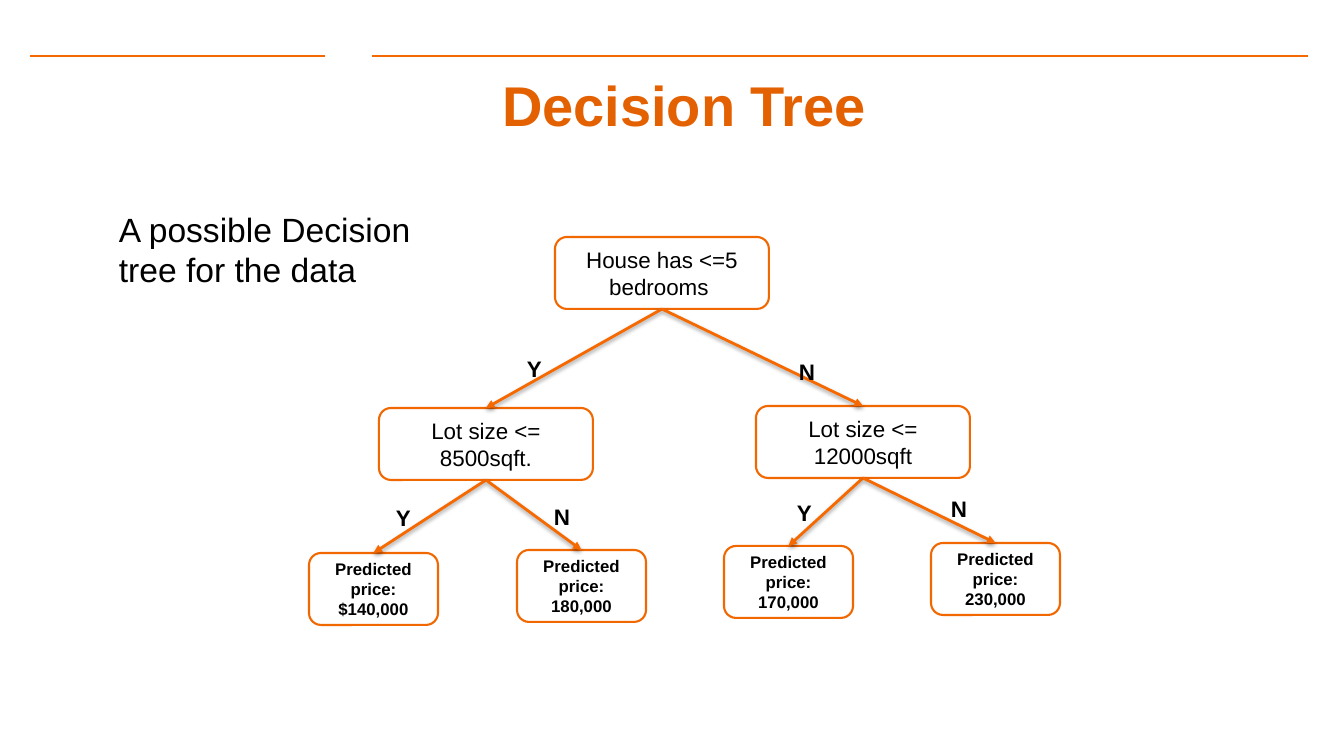
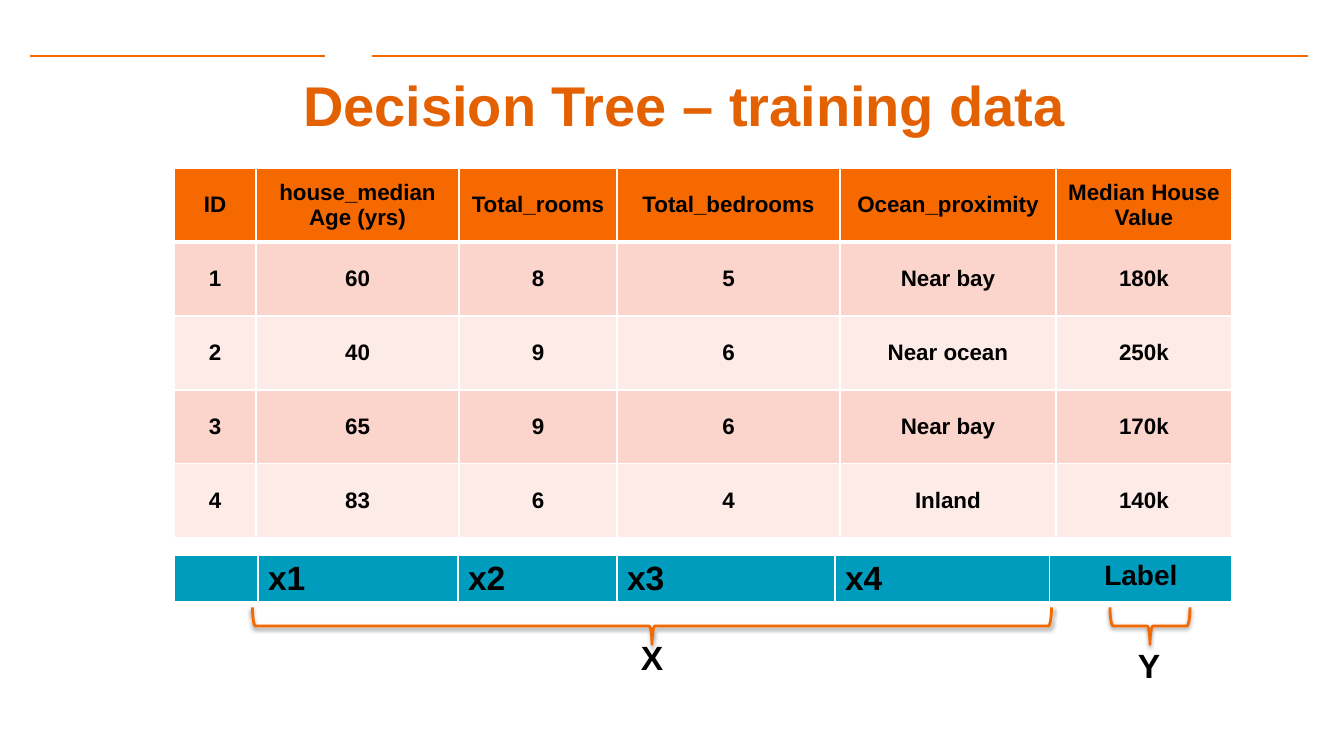
from dataclasses import dataclass
from typing import Sequence

from lxml import etree
from pptx import Presentation
from pptx import util as u
from pptx.dml.color import RGBColor
from pptx.enum import shapes, text
from pptx.oxml import ns

EMU_PER_PX = 914400 / 100.8
FONT = "Arial"
COLORS = {
    "orange": "F66900", "node": "F16700", "title": "E46102", "ink": "000000",
    "white": "FFFFFF", "odd": "FBD4CC", "even": "FDEBE7", "label": "009CBD",
}
CENTER, LEFT = text.PP_ALIGN.CENTER, text.PP_ALIGN.LEFT
TOP, MIDDLE = text.MSO_ANCHOR.TOP, text.MSO_ANCHOR.MIDDLE


@dataclass(frozen=True)
class Node:
    words: str
    x: int
    y: int
    leaf: bool = False


@dataclass(frozen=True)
class Branch:
    parent: str
    child: str
    answer: str
    x: int
    y: int


@dataclass(frozen=True)
class Brace:
    caption: str
    center: int
    span: int
    caption_x: int
    caption_y: int


@dataclass(frozen=True)
class Cell:
    words: str
    fill: str
    size: int
    align: text.PP_ALIGN
    anchor: text.MSO_ANCHOR
    top: int = 1
    bottom: int = 1


def px(pixels: float) -> u.Emu:
    return u.Emu(round(pixels * EMU_PER_PX))


def box(*pixels: float) -> list[u.Emu]:
    return [px(p) for p in pixels]


def color(name: str) -> RGBColor:
    return RGBColor.from_string(COLORS[name])


def child(parent, tag: str, **attributes: str):
    return etree.SubElement(parent, ns.qn(tag), attributes)


def write(frame, words: str, size: int, bold: bool = False,
          align=LEFT, ink: str = "ink") -> None:
    frame.text = words
    for paragraph in frame.paragraphs:
        paragraph.alignment = align
        for run in paragraph.runs:
            run.font.name, run.font.size, run.font.bold = FONT, u.Pt(size), bold
            run.font.color.rgb = color(ink)


def stroke(line, name: str, width: float) -> None:
    line.color.rgb = color(name)
    line.width = u.Pt(width)


def cast_shadow(effects) -> None:
    shadow = child(effects, "a:outerShdw", blurRad="40000", dist="20000",
                   dir="5400000", rotWithShape="0")
    child(child(shadow, "a:srgbClr", val=COLORS["ink"]), "a:alpha", val="38000")


def add_line(slide, start: tuple[int, int], end: tuple[int, int], width: float):
    line = slide.shapes.add_connector(
        shapes.MSO_CONNECTOR.STRAIGHT, *box(*start, *end))
    stroke(line.line, "orange", width)
    effects = child(line._element.spPr, "a:effectLst")
    return line, effects


def add_text(slide, words: str, at: tuple[int, int, int, int], size: int,
             bold: bool = True, wrap: bool = False) -> None:
    frame = slide.shapes.add_textbox(*box(*at)).text_frame
    frame.word_wrap = wrap
    frame.auto_size = text.MSO_AUTO_SIZE.SHAPE_TO_FIT_TEXT
    write(frame, words, size, bold)


def add_slide(deck, heading: str):
    slide = deck.slides.add_slide(deck.slide_layouts[5])
    # Rules above the title
    add_line(slide, (30, 56), (325, 56), 2)
    add_line(slide, (372, 56), (1308, 56), 1)
    # Title
    title = slide.shapes.title
    title.left, title.top, title.width, title.height = box(79, 77, 1210, 55)
    frame = title.text_frame
    frame.auto_size, frame.word_wrap = text.MSO_AUTO_SIZE.NONE, True
    frame.vertical_anchor = MIDDLE
    frame.margin_left = frame.margin_right = px(13)
    frame.margin_top = frame.margin_bottom = px(13)
    write(frame, heading, 40, True, CENTER, "title")
    return slide


def add_node(slide, node: Node):
    width = 129 if node.leaf else 214
    shape = slide.shapes.add_shape(
        shapes.MSO_SHAPE.ROUNDED_RECTANGLE, *box(node.x, node.y, width, 72))
    shape.shadow.inherit = False
    shape.fill.background()
    stroke(shape.line, "node", 1.5)
    shape.text_frame.vertical_anchor = MIDDLE
    write(shape.text_frame, node.words, 12 if node.leaf else 16, node.leaf, CENTER)
    return shape


def add_branch(slide, branch: Branch, drawn: dict) -> None:
    bottom_site, top_site = 2, 0
    arrow, effects = add_line(slide, (0, 0), (0, 0), 2)
    arrow.begin_connect(drawn[branch.parent], bottom_site)
    arrow.end_connect(drawn[branch.child], top_site)
    child(arrow.line._get_or_add_ln(), "a:tailEnd", type="triangle")
    cast_shadow(effects)


def add_grid(slide, at: tuple[int, int], widths: Sequence[int], row_height: int,
             rows: Sequence[Sequence[Cell]]) -> None:
    table = slide.shapes.add_table(
        len(rows), len(widths),
        *box(*at, sum(widths), row_height * len(rows))).table
    table.first_row = table.horz_banding = False
    for column, width in zip(table.columns, widths):
        column.width = px(width)
    for r, row in enumerate(rows):
        table.rows[r].height = px(row_height)
        for c, cell in enumerate(row):
            fill_cell(table.cell(r, c), cell)


def fill_cell(target, cell: Cell) -> None:
    target.vertical_anchor = cell.anchor
    properties = target._tc.get_or_add_tcPr()
    borders = {"a:lnL": 1, "a:lnR": 1, "a:lnT": cell.top, "a:lnB": cell.bottom}
    for tag, width in borders.items():
        border = child(properties, tag, w=str(u.Pt(width)))
        child(child(border, "a:solidFill"), "a:srgbClr", val=COLORS["white"])
    target.fill.solid()
    target.fill.fore_color.rgb = color(cell.fill)
    write(target.text_frame, cell.words, cell.size, True, cell.align)


def add_brace(slide, brace: Brace) -> None:
    depth, middle = 37, 626
    shape = slide.shapes.add_shape(
        shapes.MSO_SHAPE.RIGHT_BRACE,
        *box(brace.center - depth / 2, middle - brace.span / 2, depth, brace.span))
    shape.rotation = 90
    shape.fill.background()
    stroke(shape.line, "orange", 2)
    shape.shadow.inherit = False
    cast_shadow(shape._element.spPr.find(ns.qn("a:effectLst")))
    add_text(slide, brace.caption, (brace.caption_x, brace.caption_y, 43, 50), 24)


# Content of the tree
NODES = {
    "bedrooms": Node("House has <=5 bedrooms ", 555, 237),
    "small lot": Node("Lot size <= 8500sqft.", 379, 408),
    "large lot": Node("Lot size <= 12000sqft", 756, 406),
    "140": Node("Predicted price: $140,000", 309, 553, True),
    "180": Node("Predicted price: 180,000", 517, 550, True),
    "170": Node("Predicted price: 170,000", 724, 546, True),
    "230": Node("Predicted price: 230,000", 931, 543, True),
}
BRANCHES = [
    Branch("bedrooms", "small lot", "Y", 517, 350),
    Branch("bedrooms", "large lot", "N", 789, 353),
    Branch("small lot", "140", "Y", 386, 499),
    Branch("small lot", "180", "N", 544, 498),
    Branch("large lot", "170", "Y", 787, 494),
    Branch("large lot", "230", "N", 941, 490),
]

# Content of the training data
HEADINGS = ["ID", "house_median\nAge (yrs)", "Total_rooms", "Total_bedrooms",
            "Ocean_proximity", "Median House\nValue"]
HOUSES = [
    ["1", "60", "8", "5", "Near bay", "180k"],
    ["2", "40", "9", "6", "Near ocean", "250k"],
    ["3", "65", "9", "6", "Near bay", "170k"],
    ["4", "83", "6", "4", "Inland", "140k"],
]
FEATURES = ["", "x1", "x2", "x3", "x4"]
BRACES = [Brace("X", 652, 799, 631, 632), Brace("Y", 1150, 80, 1128, 640)]


def build_tree(deck) -> None:
    slide = add_slide(deck, "Decision Tree")
    drawn = {key: add_node(slide, node) for key, node in NODES.items()}
    for branch in BRANCHES:
        add_branch(slide, branch, drawn)
    for branch in BRANCHES:
        add_text(slide, branch.answer, (branch.x, branch.y, 36, 37), 16)
    add_text(slide, "A possible Decision tree for the data",
             (109, 204, 341, 92), 24, bold=False, wrap=True)


def build_training_data(deck) -> None:
    slide = add_slide(deck, "Decision Tree – training data")
    # Houses
    rows = [[Cell(h, "orange", 16, CENTER, MIDDLE, bottom=3) for h in HEADINGS]]
    for i, house in enumerate(HOUSES):
        band = "even" if i % 2 else "odd"
        rows.append([Cell(value, band, 16, CENTER, MIDDLE, top=1 if i else 3)
                     for value in house])
    add_grid(slide, (174, 168), (82, 203, 158, 223, 216, 176), 74, rows)
    # Features and label
    names = [Cell(name, "label", 24, LEFT, TOP, bottom=3) for name in FEATURES]
    names.append(Cell("Label", "label", 20, CENTER, TOP, bottom=3))
    add_grid(slide, (174, 555), (84, 200, 159, 218, 215, 182), 41, [names])
    for brace in BRACES:
        add_brace(slide, brace)


presentation = Presentation()
presentation.slide_width, presentation.slide_height = box(1344, 756)
build_tree(presentation)
build_training_data(presentation)
presentation.save("out.pptx")
